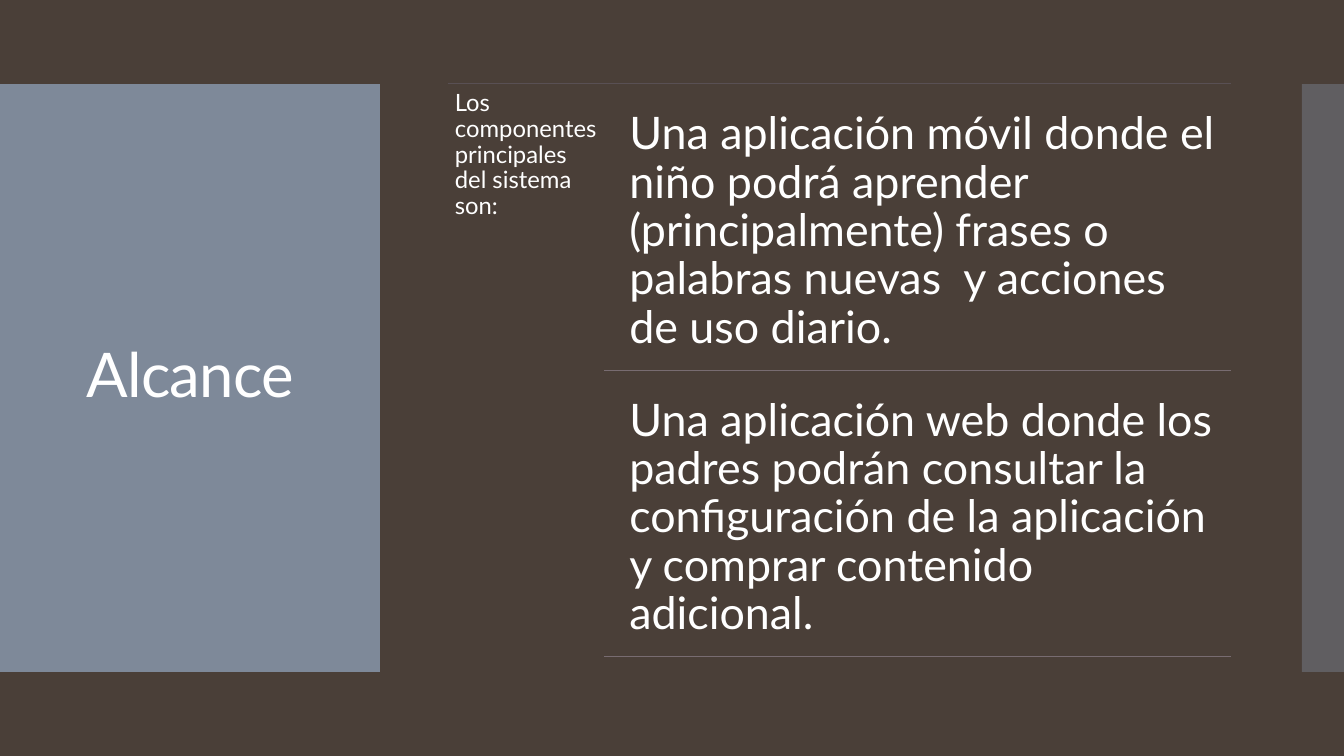
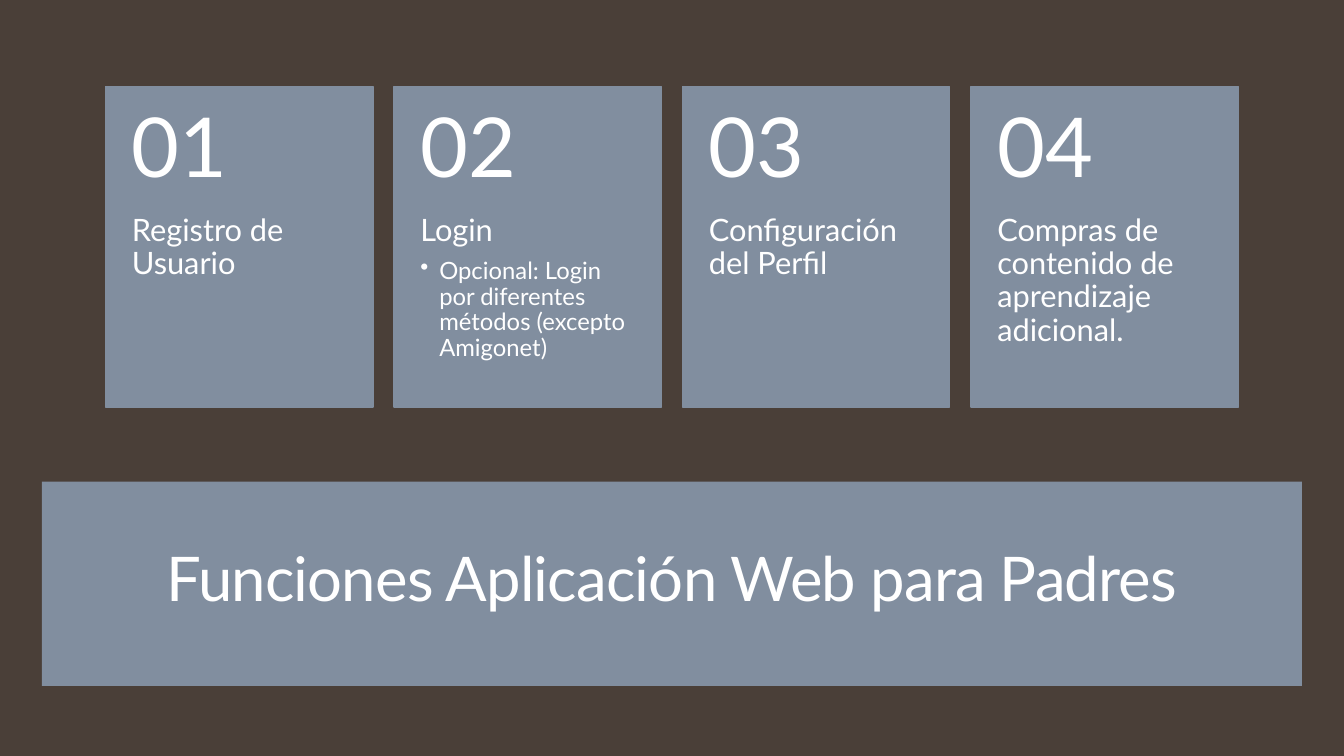
import pptx
import pptx.util
import pptx.dml.color
import pptx.enum.shapes
import pptx.enum.text
import lxml.etree

Pt = pptx.util.Pt
RGB = pptx.dml.color.RGBColor.from_string
ALIGN = pptx.enum.text.PP_ALIGN
ANCHOR = pptx.enum.text.MSO_ANCHOR
NS = "{http://schemas.openxmlformats.org/drawingml/2006/main}"

COLORS = {"back": "4A3F38", "panel": "818E9F", "text": "FFFFFF",
          "top": "595054", "rule": "786C71"}
FONT = "Lato"
WIDE, HIGH = 960, 540
TITLE = {"size": 44, "align": ALIGN.CENTER, "anchor": ANCHOR.MIDDLE,
         "pad": (7.2, 3.6, 7.2, 3.6), "track": -60, "after": 0}


def apply(item, values):
    for name, value in values.items():
        setattr(item, name, value)


def page(deck):
    slide = deck.slides.add_slide(deck.slide_layouts[6])
    fill = slide.background.fill
    fill.solid()
    fill.fore_color.rgb = RGB(COLORS["back"])
    return slide


def block(slide, box, alpha=None, edge=False):
    shape = slide.shapes.add_shape(
        pptx.enum.shapes.MSO_SHAPE.RECTANGLE, *map(Pt, box))
    shape.shadow.inherit = False
    shape.fill.solid()
    shape.fill.fore_color.rgb = RGB(COLORS["panel"])
    if alpha:
        tint = shape.fill._xPr.find(f"{NS}solidFill")[0]
        lxml.etree.SubElement(tint, f"{NS}alpha", val=str(alpha * 1000))
    if edge:
        shape.line.color.rgb = RGB(COLORS["panel"])
        shape.line.width = Pt(0.85)
    else:
        shape.line.fill.background()


def rule(slide, left, right, y, color, width):
    line = slide.shapes.add_connector(
        pptx.enum.shapes.MSO_CONNECTOR.STRAIGHT, Pt(left), Pt(y), Pt(right), Pt(y))
    line.line.color.rgb = RGB(COLORS[color])
    line.line.width = Pt(width)
    lxml.etree.SubElement(line._element.spPr, f"{NS}effectLst")


def write(para, text, size, align=ALIGN.LEFT, after=0.35, track=0, bullet=0):
    apply(para, {"alignment": align, "line_spacing": 0.9,
                 "space_after": Pt(round(size * after, 1))})
    run = para.add_run()
    run.text = text
    apply(run.font, {"name": FONT, "size": Pt(size)})
    run.font.color.rgb = RGB(COLORS["text"])
    if track:
        run.font._element.set("spc", str(track))
    if bullet:
        props = para._p.get_or_add_pPr()
        props.set("marL", str(Pt(bullet)))
        props.set("indent", str(-Pt(bullet)))
        lxml.etree.SubElement(props, f"{NS}buChar", char="•")


def label(slide, box, text, size, pad, anchor=ANCHOR.TOP, **style):
    frame = slide.shapes.add_textbox(*map(Pt, box)).text_frame
    sides = ("margin_left", "margin_top", "margin_right", "margin_bottom")
    apply(frame, {"word_wrap": True, "vertical_anchor": anchor,
                  **dict(zip(sides, map(Pt, pad)))})
    write(frame.paragraphs[0], text, size, **style)
    return frame


# Side panel with the title, and the strip at the far edge
def sides(slide, box, title):
    left, top, width, height = box
    block(slide, box, 95)
    block(slide, (WIDE - 30, top, 30, height), 40)
    label(slide, (left + 20, top + 28.5, width - 39.5, height - 58), title, **TITLE)


# Lead text on the left, ruled rows on the right
def scope(slide, box, lead, rows):
    left, top, width, height = box
    right, col, gap = left + width, 111.7, 9.6
    rule(slide, left, right, top, "top", 0.75)
    label(slide, (left, top, col, height), lead, 17, (5.1,) * 4)
    tall = 195
    for i, text in enumerate(rows):
        y = top + gap + i * (tall + gap)
        label(slide, (left + 120.1, y, width - 120.1, tall), text, 32, (9.6,) * 4)
        rule(slide, left + col, right, y + tall, "rule", 0.85)


# One numbered card
def card(slide, box, num, text, notes):
    left, top, width, height = box
    head = height * 0.4
    block(slide, box, edge=True)
    frame = label(slide, (left, top + head, width, height - head), text, 22,
                  (18.85, 0, 18.85, 25.7))
    for note in notes:
        write(frame.add_paragraph(), note, 17, after=0.15, bullet=13.5)
    label(slide, (left, top, width, head), f"{num:02}", 59,
          (18.85, 13, 18.85, 13), ANCHOR.MIDDLE)


# Row of equal cards
def cards(slide, box, items):
    left, top, width, height = box
    gap = 15
    wide = (width - gap * (len(items) - 1)) / len(items)
    for i, (text, *notes) in enumerate(items):
        card(slide, (left + i * (wide + gap), top, wide, height), i + 1, text, notes)


# Title band across the foot
def band(slide, box, title):
    left, top, width, height = box
    block(slide, box)
    label(slide, (left + 13.7, top + 18, width - 27.4, 107.3), title, **TITLE)


deck = pptx.Presentation()
apply(deck, {"slide_width": Pt(WIDE), "slide_height": Pt(HIGH)})

slide = page(deck)
sides(slide, (0, 60, 271.3, 420), "Alcance")
scope(slide, (319.8, 60, 559.3, 420),
      "Los componentes principales del sistema son:",
      ["Una aplicación móvil donde el niño podrá aprender (principalmente) "
       "frases o palabras nuevas\u00a0 y acciones de uso diario.",
       "Una aplicación web donde los padres podrán consultar la configuración "
       "de la aplicación y comprar contenido adicional."])

slide = page(deck)
band(slide, (30, 344, 900, 146), "Funciones Aplicación Web para Padres")
cards(slide, (75.4, 61.8, 809.2, 229),
      [("Registro de Usuario",),
       ("Login\u00a0", "Opcional: Login por diferentes métodos (excepto Amigonet)"),
       ("Configuración del Perfil",),
       ("Compras de contenido de aprendizaje adicional.",)])

deck.save("out.pptx")
